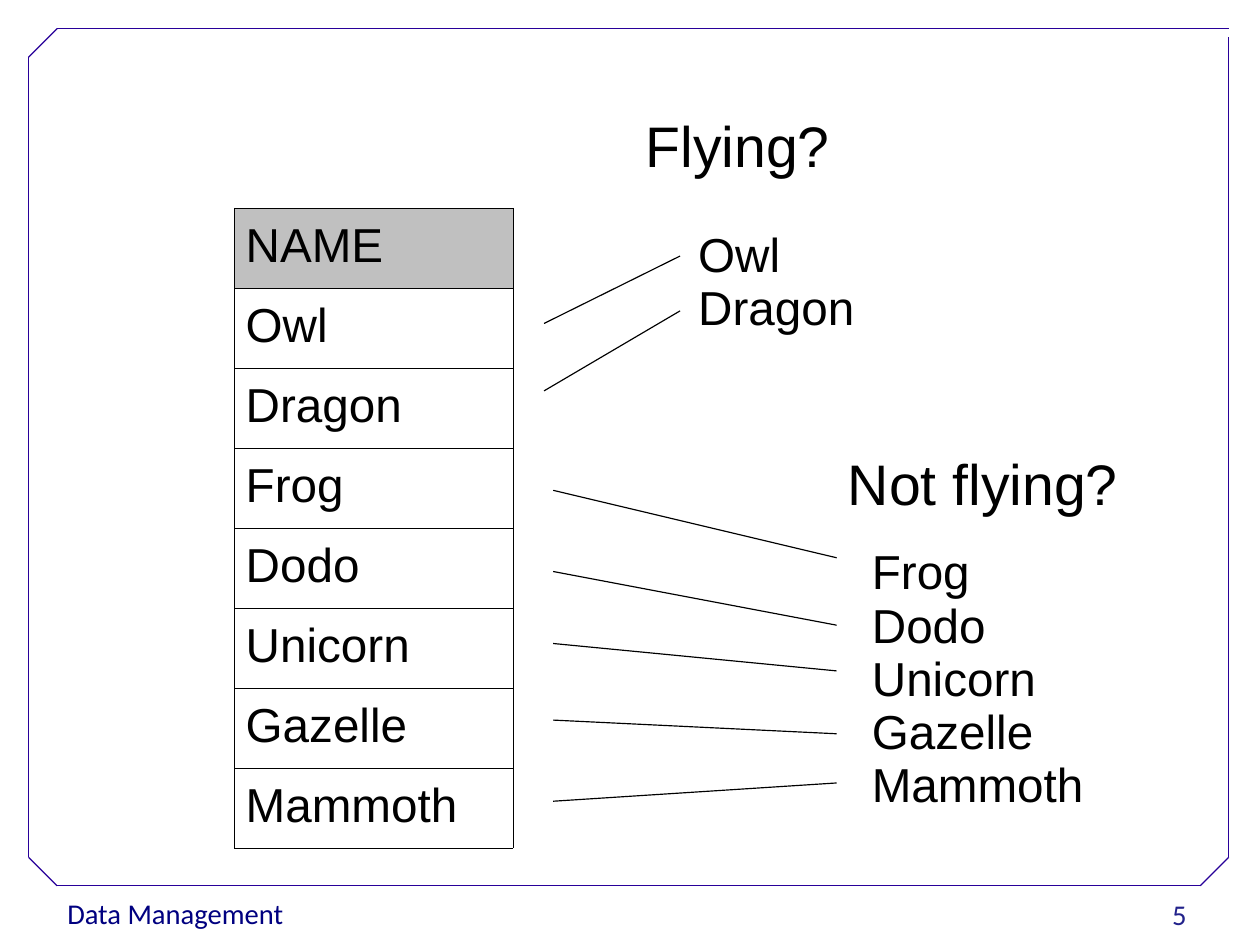
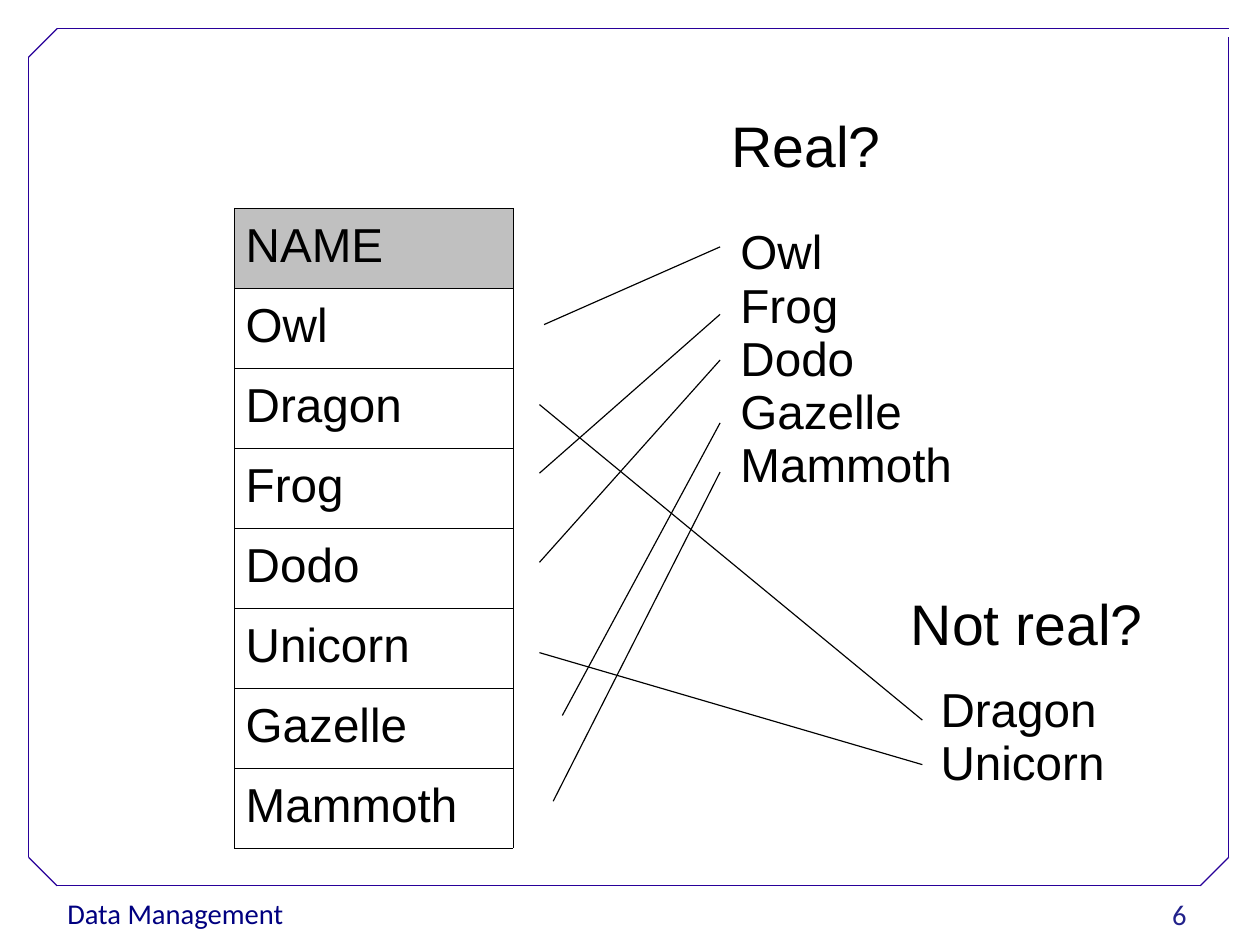
from lxml.etree import SubElement
from pptx import Presentation
from pptx.dml.color import RGBColor
from pptx.enum.shapes import MSO_CONNECTOR
from pptx.enum.text import MSO_ANCHOR, PP_ALIGN
from pptx.oxml.ns import qn
from pptx.util import Cm, Inches, Pt

NAMES = ["Owl", "Dragon", "Frog", "Dodo", "Unicorn", "Gazelle", "Mammoth"]


def color(hex_code):
    return RGBColor.from_string(hex_code)


class Deck:
    BLACK, WHITE, HEADER = "000000", "FFFFFF", "C0C0C0"
    FRAME, FOOTER, NUMBER = "280099", "000080", "22228B"
    SPACING = 0.93

    def __init__(self):
        self.prs = Presentation()
        # 28 by 21 cm, which is 11.02 by 8.27 inches
        self.prs.slide_width, self.prs.slide_height = Cm(28), Cm(21)
        self.slide = None

    def new_slide(self, number):
        self.slide = self.prs.slides.add_slide(self.prs.slide_layouts[6])
        self.frame()
        footer = self.text(["Data Management"], 0.49, 7.78, 2.15, 0.4, 18,
                           "Calibri", self.FOOTER, top=0.05, spacing=1.02)
        footer.fill.solid()
        footer.fill.fore_color.rgb = color(self.WHITE)
        page = self.text([str(number)], 7.91, 7.79, 2.57, 0.44, 18,
                         "Calibri", self.NUMBER, top=0.05)
        page.text_frame.vertical_anchor = MSO_ANCHOR.MIDDLE
        page.text_frame.paragraphs[0].alignment = PP_ALIGN.RIGHT

    def frame(self):
        """Border with cut corners, open at the top right."""
        outline = [(10.75, 0.25), (0.5, 0.25), (0.25, 0.5), (0.25, 7.5),
                   (0.5, 7.75), (10.5, 7.75), (10.75, 7.5), (10.75, 0.32)]
        for start, end in zip(outline, outline[1:]):
            self.line(*start, *end, self.FRAME)

    def line(self, x1, y1, x2, y2, line_color=BLACK):
        link = self.slide.shapes.add_connector(
            MSO_CONNECTOR.STRAIGHT, Inches(x1), Inches(y1), Inches(x2), Inches(y2))
        link.line.color.rgb = color(line_color)
        link.line.width = Pt(0.75)
        SubElement(link._element.spPr, qn("a:effectLst"))

    def style(self, paragraph, size, font, text_color, spacing=SPACING):
        paragraph.line_spacing = spacing
        for run in paragraph.runs:
            run.font.size = Pt(size)
            run.font.name = font
            run.font.color.rgb = color(text_color)

    def text(self, lines, x, y, w, h, size, font="Arial", text_color=BLACK,
             top=0.08, spacing=SPACING):
        box = self.slide.shapes.add_textbox(Inches(x), Inches(y), Inches(w), Inches(h))
        box.text_frame.word_wrap = True
        box.text_frame.margin_top = Inches(top)
        box.text_frame.text = "\n".join(lines)
        for paragraph in box.text_frame.paragraphs:
            self.style(paragraph, size, font, text_color, spacing)
        return box

    def name_table(self):
        rows = ["NAME"] + NAMES
        table = self.slide.shapes.add_table(
            len(rows), 1, Inches(2.05), Inches(1.82),
            Inches(2.44), Inches(0.7 * len(rows))).table
        table.first_row = table.horz_banding = False
        for index, name in enumerate(rows):
            cell = table.cell(index, 0)
            cell.text = name
            cell.vertical_anchor = MSO_ANCHOR.MIDDLE
            self.style(cell.text_frame.paragraphs[0], 30, "Arial", self.BLACK)
            self.borders(cell)
            if index == 0:
                cell.fill.solid()
                cell.fill.fore_color.rgb = color(self.HEADER)
            else:
                cell.fill.background()

    def borders(self, cell):
        properties = cell._tc.get_or_add_tcPr()
        for side in ("a:lnL", "a:lnR", "a:lnT", "a:lnB"):
            border = SubElement(properties, qn(side), w=str(Pt(0.06)))
            fill = SubElement(border, qn("a:solidFill"))
            SubElement(fill, qn("a:srgbClr"), val=self.BLACK)

    def group(self, question, members, question_box, members_box):
        self.text([question], *question_box, 36)
        self.text(members, *members_box, 30)


def main():
    deck = Deck()

    # Flying or not
    deck.new_slide(5)
    deck.name_table()
    deck.group("Flying?", NAMES[:2], (5.55, 0.94, 1.86, 0.66), (6.01, 1.93, 1.61, 1.03))
    deck.group("Not flying?", NAMES[2:], (7.32, 3.9, 2.61, 0.66), (7.53, 4.71, 2.1, 2.41))
    for start_y, end_y in [(2.83, 2.24), (3.42, 2.72)]:
        deck.line(4.76, start_y, 5.95, end_y)
    for start_y, end_y in [(4.29, 4.88), (5, 5.47), (5.63, 5.87), (6.3, 6.42), (7.01, 6.85)]:
        deck.line(4.84, start_y, 7.32, end_y)

    # Real or not
    imaginary = ["Dragon", "Unicorn"]
    real = [name for name in NAMES if name not in imaginary]
    deck.new_slide(6)
    deck.name_table()
    deck.group("Real?", real, (6.3, 0.94, 1.56, 0.66), (6.38, 1.91, 2.1, 2.41))
    deck.group("Not real?", imaginary, (7.87, 5.12, 2.28, 0.66), (8.13, 5.91, 1.68, 1.03))
    for start_x, start_y, end_y in [(4.76, 2.84, 2.16), (4.72, 4.14, 2.75), (4.72, 4.92, 3.15),
                                    (4.92, 6.26, 3.7), (4.84, 7.01, 4.13)]:
        deck.line(start_x, start_y, 6.3, end_y)
    for start_y, end_y in [(3.54, 6.3), (5.71, 6.69)]:
        deck.line(4.72, start_y, 8.07, end_y)

    deck.prs.save("out.pptx")


if __name__ == "__main__":
    main()
